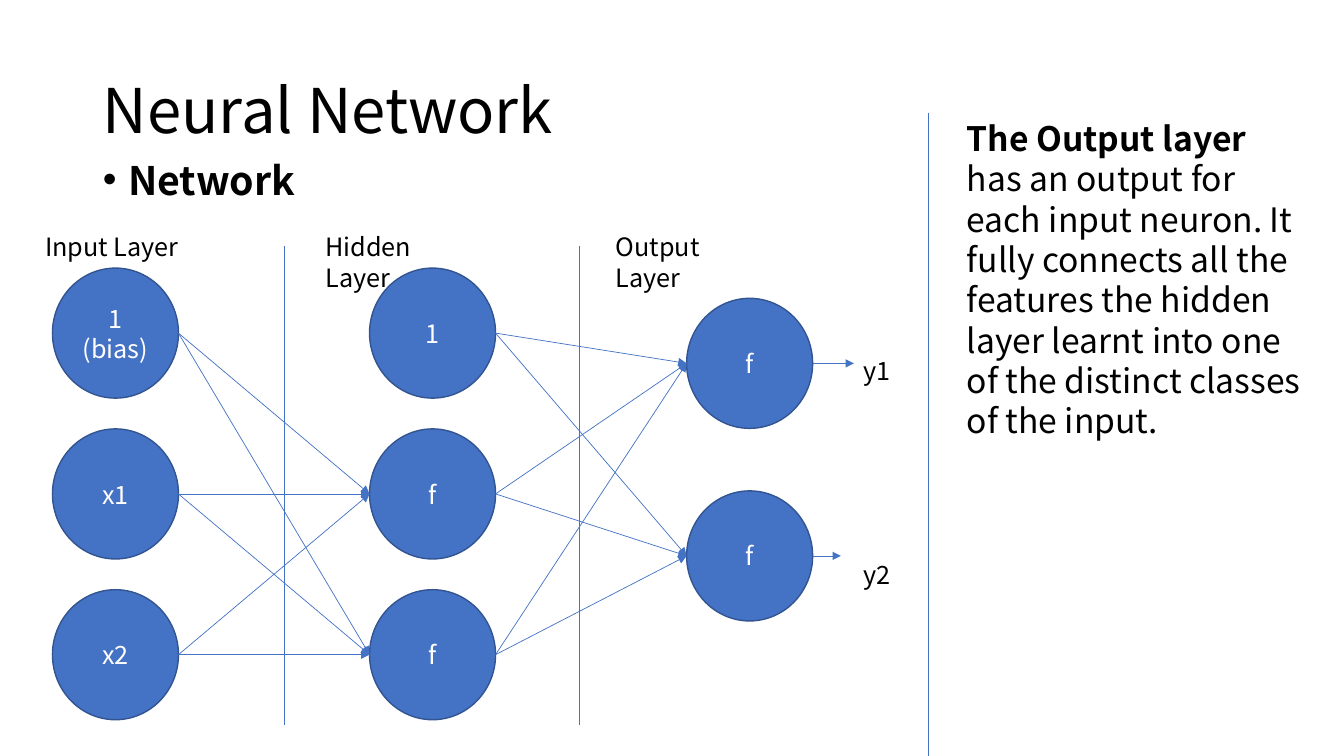
from itertools import product
from lxml.etree import SubElement
from pptx import Presentation
from pptx.dml.color import RGBColor
from pptx.enum.shapes import MSO_CONNECTOR, MSO_SHAPE
from pptx.enum.text import MSO_ANCHOR, MSO_AUTO_SIZE, PP_ALIGN
from pptx.oxml.ns import qn
from pptx.util import Inches, Pt

FONT = "Noto Sans CJK JP"
COLORS = {"text": "000000", "node": "4472C4", "edge": "325491", "light": "FFFFFF"}
WIDE, HIGH = 1.25, 1.29
STEP = 3.145
LAYERS = [
    ("Input Layer", 0, 0.41, 1.595, ["1 (bias)", "x1", "x2"]),
    ("Hidden Layer", 2.78, 0.41, 1.595, ["1", "f", "f"]),
    ("Output Layer", 5.66, 0.71, 1.91, ["f", "f"]),
]


def color(name):
    return RGBColor.from_string(COLORS[name])


def style(para, size, tint="text", bold=None):
    font = para.font
    font.name, font.size, font.bold = FONT, Pt(size), bold
    font.color.rgb = color(tint)


def place(shape, left, top, width, height):
    shape.left, shape.top = Inches(left), Inches(top)
    shape.width, shape.height = Inches(width), Inches(height)


def line(slide, start, end, arrow=False):
    link = slide.shapes.add_connector(
        MSO_CONNECTOR.STRAIGHT, *[Inches(n) for n in (*start, *end)])
    link.line.color.rgb = color("node")
    link.line.width = Pt(0.5)
    if arrow:
        SubElement(link.line._get_or_add_ln(), qn("a:tailEnd"), type="triangle")
    SubElement(link._element.spPr, qn("a:effectLst"))


def label(slide, text, left, top, width):
    box = slide.shapes.add_textbox(*map(Inches, (left, top, width, 0.4)))
    box.text_frame.word_wrap = False
    box.text_frame.text = text
    style(box.text_frame.paragraphs[0], 18)


def node(slide, text, left, top):
    disc = slide.shapes.add_shape(
        MSO_SHAPE.OVAL, *map(Inches, (left, top, WIDE, HIGH)))
    disc.shadow.inherit = False
    disc.fill.solid()
    disc.fill.fore_color.rgb = color("node")
    disc.line.color.rgb = color("edge")
    disc.line.width = Pt(1)
    frame = disc.text_frame
    frame.word_wrap = True
    frame.vertical_anchor = MSO_ANCHOR.MIDDLE
    frame.text = text
    frame.paragraphs[0].alignment = PP_ALIGN.CENTER
    style(frame.paragraphs[0], 18, "light")
    return left, top + HIGH / 2


def header(slide, left, top):
    title, body = slide.placeholders
    place(title, left, top, 11.5, 1.45)
    title.text_frame.text = "Neural Network"
    title.text_frame.vertical_anchor = MSO_ANCHOR.MIDDLE
    title.text_frame.auto_size = MSO_AUTO_SIZE.NONE
    para = title.text_frame.paragraphs[0]
    para.alignment, para.line_spacing = PP_ALIGN.LEFT, 0.9
    style(para, 44)

    place(body, left, top + 1.19, 3, 0.51)
    body.text_frame.text = "Network"
    body.text_frame.auto_size = MSO_AUTO_SIZE.NONE
    para = body.text_frame.paragraphs[0]
    para.line_spacing, para.space_before = 0.8, Pt(10)
    props = para._p.get_or_add_pPr()
    props.set("marL", str(Inches(0.25)))
    props.set("indent", str(Inches(-0.25)))
    SubElement(props, qn("a:buChar"), char="•")
    style(para, 28, bold=True)


def network(slide, left, top):
    for shift in (2.47, 5.4):
        line(slide, (left + shift, top + 0.19), (left + shift, top + 4.94))
    layers = []
    for col, (name, shift, drop, pitch, texts) in enumerate(LAYERS):
        label(slide, name, left + shift, top, 1.6)
        layers.append([
            node(slide, text, left + 0.17 + col * STEP, top + drop + row * pitch)
            for row, text in enumerate(texts)])
    first, hidden, last = layers
    for starts, ends in ((first, hidden[1:]), (hidden, last)):
        for (x, y), end in product(starts, ends):
            line(slide, (x + WIDE, y), end, True)
    for (x, y), name, reach, drop in zip(last, ("y1", "y2"), (0.41, 0.28), (1.23, 3.25)):
        line(slide, (x + WIDE, y), (x + WIDE + reach, y), True)
        label(slide, name, left + 8.12, top + drop, 0.47)


def sidebar(slide, left, top):
    line(slide, (left, top), (left, 7.5))
    box = slide.shapes.add_textbox(*map(Inches, (left + 0.28, top, 3.51, 3.94)))
    box.text_frame.word_wrap = True
    para = box.text_frame.paragraphs[0]
    style(para, 24)
    lead = para.add_run()
    lead.text = "The Output layer "
    lead.font.bold = True
    para.add_run().text = (
        "has an output for each input neuron. It fully connects all the features "
        "the hidden layer learnt into one of the distinct classes of the input.")


def main():
    deck = Presentation()
    deck.slide_width, deck.slide_height = Inches(13.33), Inches(7.5)
    slide = deck.slides.add_slide(deck.slide_layouts[1])
    header(slide, 0.92, 0.4)
    network(slide, 0.35, 2.25)
    sidebar(slide, 9.21, 1.12)
    deck.save("out.pptx")


if __name__ == "__main__":
    main()
